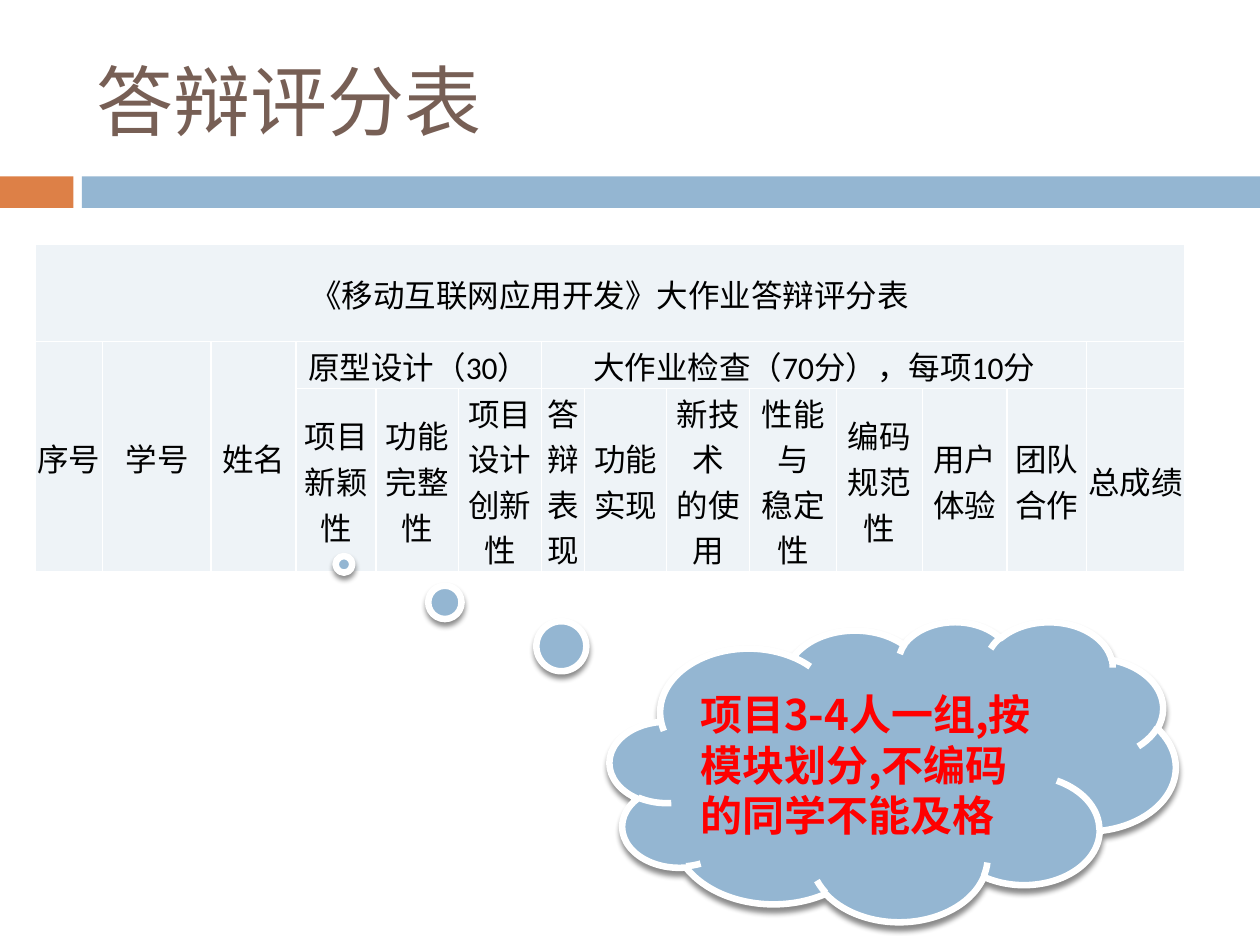
from lxml import etree
from pptx import Presentation
from pptx.dml.color import RGBColor
from pptx.enum import shapes, text
from pptx.oxml import ns, parse_xml
from pptx.util import Pt

MIDDLE = text.MSO_ANCHOR.MIDDLE
LEFT, CENTER = text.PP_ALIGN.LEFT, text.PP_ALIGN.CENTER
CJK = "Noto Sans CJK SC"


def rgb(value):
    return RGBColor.from_string(value)


def write(tf, content, size=18, color="000000", font="Calibri", bold=False, align=CENTER):
    p = tf.paragraphs[0]
    p.alignment = align
    for i, line in enumerate(content.split("\n")):
        if i:
            p.add_line_break()
        r = p.add_run()
        r.text = line
        r.font.size = Pt(size)
        r.font.bold = bold
        r.font.name = font
        r.font.color.rgb = rgb(color)
        ea = etree.SubElement(r._r.get_or_add_rPr(), ns.qn("a:ea"))
        ea.set("typeface", CJK)


prs = Presentation()
prs.slide_width, prs.slide_height = Pt(720), Pt(540)
s = prs.slides.add_slide(prs.slide_layouts[5])

for left, width, color in [(0, 42, "DD8047"), (46.8, 673.2, "94B6D2")]:
    bar = s.shapes.add_shape(shapes.MSO_SHAPE.RECTANGLE, Pt(left), Pt(100.8), Pt(width), Pt(18))
    bar.shadow.inherit = False
    bar.fill.solid()
    bar.fill.fore_color.rgb = rgb(color)
    bar.line.fill.background()

title = s.shapes.title
title.left, title.top, title.width, title.height = Pt(48), Pt(18), Pt(642), Pt(78)
title.text_frame.vertical_anchor = MIDDLE
write(title.text_frame, "答辩评分表", size=44, color="775F55", align=LEFT)

widths = [38.7, 62, 48.5, 45.8, 47, 47.5, 24.7, 46.8, 47.5, 49.5, 49.2, 48.5, 45.4, 55.9]
heights = [55.4, 15.1, 88.6]
table = s.shapes.add_table(3, 14, Pt(20), Pt(139.7), Pt(sum(widths)), Pt(sum(heights))).table
for column, width in zip(table.columns, widths):
    column.width = Pt(width)
for row, height in zip(table.rows, heights):
    row.height = Pt(height)

headings = [
    (0, 0, 0, 13, "《移动互联网应用开发》大作业答辩评分表"),
    (1, 0, 2, 0, "序号"),
    (1, 1, 2, 1, "学号"),
    (1, 2, 2, 2, "姓名"),
    (1, 3, 1, 5, "原型设计（30）"),
    (1, 6, 1, 12, "大作业检查（70分），每项10分"),
]
criteria = ["项目\n新颖性", "功能\n完整性", "项目\n设计创新性", "答辩\n表现", "功能\n实现", "新技术\n的使用",
            "性能与\n稳定性", "编码\n规范性", "用户\n体验", "团队\n合作", "总成绩"]
headings += [(2, i, 2, i, name) for i, name in enumerate(criteria, 3)]

for cell in table.iter_cells():
    cell.margin_left = cell.margin_right = cell.margin_top = Pt(0.72)
    cell.margin_bottom = 0
    cell.vertical_anchor = MIDDLE
    tcPr = cell._tc.get_or_add_tcPr()
    for side in ("lnL", "lnR", "lnT", "lnB"):
        ln = etree.SubElement(tcPr, ns.qn("a:" + side), w=str(Pt(1)))
        fill = etree.SubElement(ln, ns.qn("a:solidFill"))
        etree.SubElement(fill, ns.qn("a:srgbClr"), val="FFFFFF")
    cell.fill.solid()
    cell.fill.fore_color.rgb = rgb("EEF3F7")

for top, left, bottom, right, name in headings:
    cell = table.cell(top, left)
    if (top, left) != (bottom, right):
        cell.merge(table.cell(bottom, right))
    write(cell.text_frame, name)

cloud = s.shapes.add_shape(shapes.MSO_SHAPE.CLOUD_CALLOUT, Pt(348.5), Pt(355), Pt(323.3), Pt(171.4))
cloud.adjustments[0], cloud.adjustments[1] = -0.97, -0.69
cloud.fill.solid()
cloud.fill.fore_color.rgb = rgb("94B6D2")
cloud.line.color.rgb = rgb("FFFFFF")
cloud.line.width = Pt(3.75)
cloud.shadow.inherit = False
effects = cloud._element.spPr.find(ns.qn("a:effectLst"))
effects.append(parse_xml(
    f'<a:outerShdw {ns.nsdecls("a")} blurRad="{Pt(3)}" dist="{Pt(2.4)}" dir="5400000" rotWithShape="0">'
    '<a:srgbClr val="000000"><a:alpha val="45000"/></a:srgbClr></a:outerShdw>'))
cloud.text_frame.word_wrap = True
cloud.text_frame.vertical_anchor = MIDDLE
write(cloud.text_frame, "项目3-4人一组,按模块划分,不编码的同学不能及格",
      size=24, color="FF0000", font=CJK, bold=True, align=LEFT)

prs.save("out.pptx")
